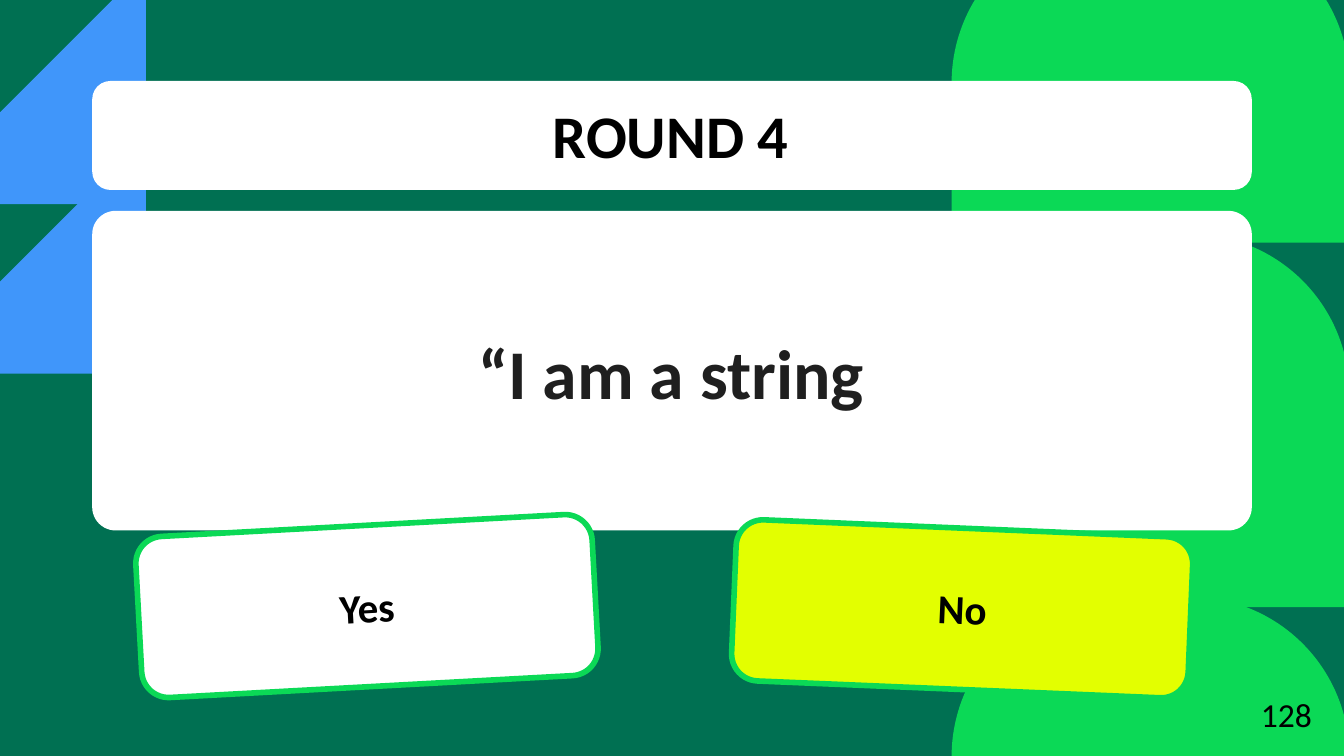
from dataclasses import dataclass

import pptx
import pptx.dml.color
import pptx.enum.shapes
import pptx.enum.text
import pptx.util

Pt = pptx.util.Pt
KIND = pptx.enum.shapes.MSO_SHAPE
ALIGN = pptx.enum.text.PP_ALIGN
ANCHOR = pptx.enum.text.MSO_ANCHOR

HUES = {
    "back": "007052",
    "green": "0BD956",
    "blue": "4096FA",
    "white": "FFFFFF",
    "lime": "E3FF00",
    "black": "000000",
    "ink": "1F1F1F",
}


@dataclass
class Box:
    left: float
    top: float
    width: float
    height: float
    turn: float = 0


@dataclass
class Answer:
    label: str
    card: Box
    top: float  # top of the label
    hue: str


def color(name: str):
    return pptx.dml.color.RGBColor.from_string(HUES[name])


def place(box: Box) -> list:
    return [Pt(n) for n in (box.left, box.top, box.width, box.height)]


def draw_shape(slide, kind, box: Box, hue: str, bends=(), edge: str = "") -> None:
    shape = slide.shapes.add_shape(kind, *place(box))
    shape.shadow.inherit = False
    shape.rotation = box.turn
    for i, bend in enumerate(bends):
        shape.adjustments[i] = bend
    shape.fill.solid()
    shape.fill.fore_color.rgb = color(hue)
    if edge:
        shape.line.color.rgb = color(edge)
        shape.line.width = Pt(3)
    else:
        shape.line.fill.background()


def draw_text(slide, text: str, box: Box, *, size: float, hue: str = "black",
              bold: bool = True, align=ALIGN.CENTER, anchor=ANCHOR.MIDDLE,
              space: float = 1, after: float = 0) -> None:
    label = slide.shapes.add_textbox(*place(box))
    label.rotation = box.turn
    frame = label.text_frame
    frame.word_wrap = True
    frame.vertical_anchor = anchor
    frame.margin_left = frame.margin_right = Pt(7.2)
    frame.margin_top = frame.margin_bottom = Pt(7.2)
    para = frame.paragraphs[0]
    para.alignment = align
    para.line_spacing = space
    para.space_after = Pt(after)
    run = para.add_run()
    run.text = text
    run.font.name = "Calibri"
    run.font.size = Pt(size)
    run.font.bold = bold
    run.font.color.rgb = color(hue)


def draw_answer(slide, item: Answer) -> None:
    card = item.card
    draw_shape(slide, KIND.ROUNDED_RECTANGLE, card, item.hue, [0.167], "green")
    box = Box(card.left, item.top, card.width, 41, card.turn)
    draw_text(slide, item.label, box, size=22, anchor=ANCHOR.TOP)


def main() -> None:
    deck = pptx.Presentation()
    deck.slide_width, deck.slide_height = Pt(720), Pt(405)
    slide = deck.slides.add_slide(deck.slide_layouts[6])
    slide.background.fill.solid()
    slide.background.fill.fore_color.rgb = color("back")

    # Arches on the right, triangles on the left
    for top in (154.1, 125.3, 319.7, -41.2):
        draw_shape(slide, KIND.ROUND_2_SAME_RECTANGLE,
                   Box(509.8, top, 213.1, 171.2), "green", [0.5, 0])
    for top in (72.7, -18):
        draw_shape(slide, KIND.RIGHT_TRIANGLE,
                   Box(-49.2, top, 127.4, 127.4, 270), "blue")

    # White panels for heading and question
    for top, height, bend in ((43.4, 58.4, 0.167), (113, 171.2, 0.073)):
        draw_shape(slide, KIND.ROUNDED_RECTANGLE,
                   Box(49.4, top, 621.2, height), "white", [bend])

    # Page number, heading and question
    draw_text(slide, "128", Box(654.5, 367.2, 55.4, 31), size=18,
              bold=False, align=ALIGN.RIGHT)
    draw_text(slide, "ROUND 4", Box(58.8, 49.7, 601, 44.6), size=32.4)
    draw_text(slide, "“I am a string", Box(85, 172.1, 549.4, 58.3), size=37.4,
              hue="ink", space=0.95, after=12)

    # Tilted answer cards
    for item in (
        Answer("Yes", Box(74.2, 281.5, 244.8, 86.4, 356.9), 304.6, "white"),
        Answer("No", Box(393.1, 283, 244.8, 86.4, 2.4), 305.3, "lime"),
    ):
        draw_answer(slide, item)

    deck.save("out.pptx")


if __name__ == "__main__":
    main()
